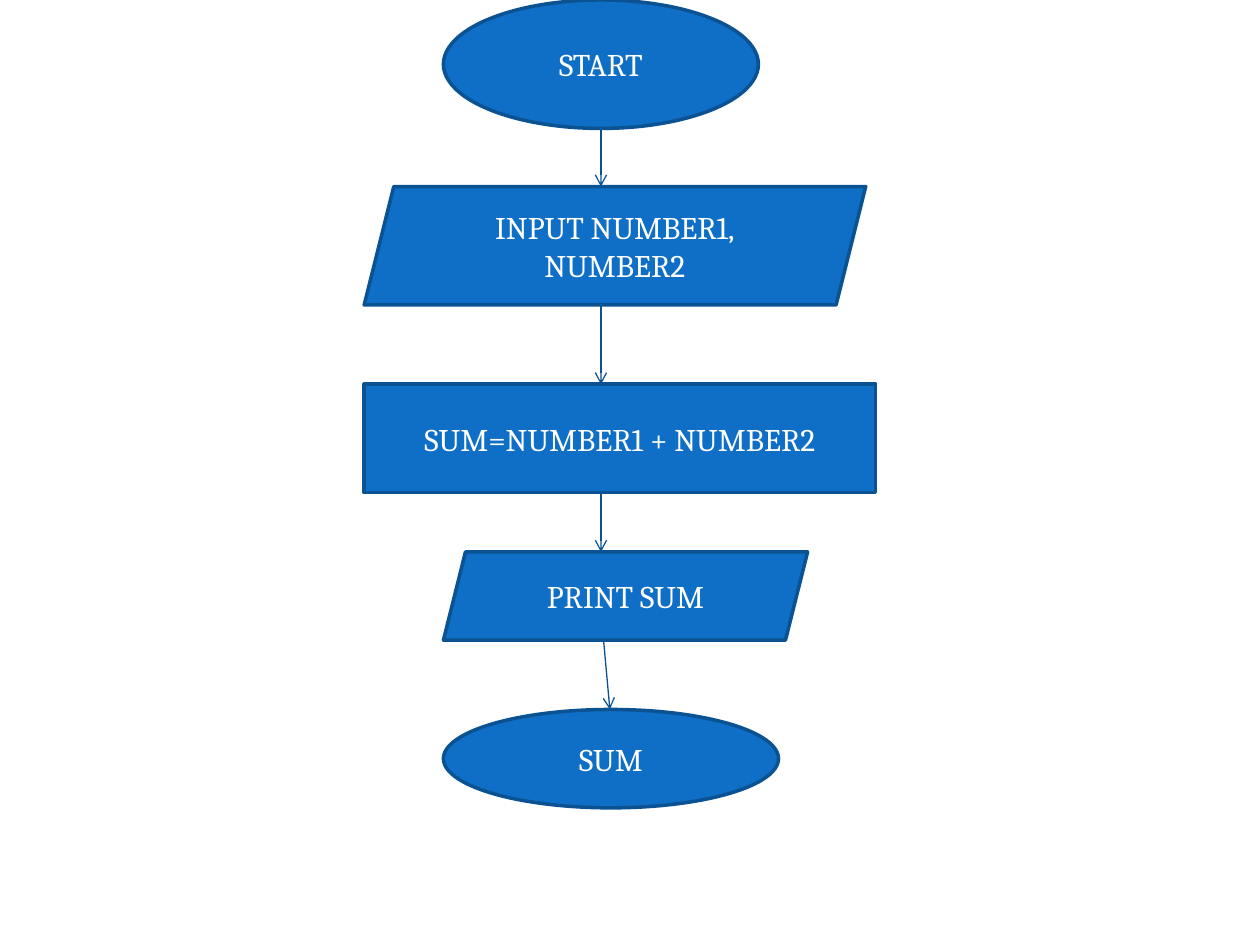
import itertools

import pptx
import pptx.dml.color
import pptx.enum.shapes
import pptx.enum.text
import pptx.oxml
import pptx.oxml.ns
import pptx.util

Pt = pptx.util.Pt
RGBColor = pptx.dml.color.RGBColor
Step = pptx.enum.shapes.MSO_SHAPE

BLUE = RGBColor(0x0F, 0x6F, 0xC6)
OUTLINE = RGBColor(0x0B, 0x52, 0x92)
ARROW = RGBColor(0x09, 0x52, 0x95)
WHITE = RGBColor(0xFF, 0xFF, 0xFF)

LABEL_FORMAT = {"name": "Cambria", "size": Pt(18)}
FRAME_FORMAT = {
    "word_wrap": True,
    "vertical_anchor": pptx.enum.text.MSO_ANCHOR.MIDDLE,
}

STEPS = [
    (Step.OVAL, "START", (45.3, 0, 180, 73.4)),
    (Step.PARALLELOGRAM, "INPUT NUMBER1,\nNUMBER2", (0, 106.6, 286.6, 67.7)),
    (Step.RECTANGLE, "SUM=NUMBER1 + NUMBER2", (0, 219.6, 292.3, 61.9)),
    (Step.PARALLELOGRAM, "PRINT SUM", (45.3, 315.4, 208.1, 50.4)),
    (Step.OVAL, "SUM", (45.3, 405.4, 191.5, 56.2)),
]
FLOW_XS = [(135.3, 135.3), (135.3, 135.3), (135.3, 135.3), (136.8, 140.4)]


def apply_format(target, values):
    """Set each named attribute on the target."""
    for attribute, value in values.items():
        setattr(target, attribute, value)


def add_step(slide, outline, label, left, top, width, height):
    """Place one labelled flowchart step."""
    step = slide.shapes.add_shape(outline, Pt(left), Pt(top), Pt(width), Pt(height))
    step.shadow.inherit = False
    step.fill.solid()
    step.fill.fore_color.rgb = BLUE
    step.line.color.rgb = OUTLINE
    step.line.width = Pt(2)
    apply_format(step.text_frame, FRAME_FORMAT)
    step.text_frame.text = label
    for paragraph in step.text_frame.paragraphs:
        paragraph.alignment = pptx.enum.text.PP_ALIGN.CENTER
        for run in paragraph.runs:
            apply_format(run.font, LABEL_FORMAT)
            run.font.color.rgb = WHITE


def add_flow(slide, start_x, start_y, end_x, end_y):
    """Draw an arrow from one step to the next."""
    flow = slide.shapes.add_connector(
        pptx.enum.shapes.MSO_CONNECTOR.STRAIGHT,
        Pt(start_x), Pt(start_y), Pt(end_x), Pt(end_y),
    )
    flow.line.color.rgb = ARROW
    flow.line.width = Pt(0.75)
    arrowhead = pptx.oxml.parse_xml(
        f'<a:tailEnd {pptx.oxml.ns.nsdecls("a")} type="arrow"/>'
    )
    flow.line._get_or_add_ln().append(arrowhead)
    properties = flow._element.spPr
    properties.append(
        pptx.oxml.parse_xml(f'<a:effectLst {pptx.oxml.ns.nsdecls("a")}/>')
    )


def add_flowchart(slide, left, top):
    """Place the steps and their arrows from the chart's top left corner."""
    for outline, label, (x, y, width, height) in STEPS:
        add_step(slide, outline, label, left + x, top + y, width, height)
    boxes = [box for _, _, box in STEPS]
    for (upper, lower), (start_x, end_x) in zip(itertools.pairwise(boxes), FLOW_XS):
        add_flow(
            slide,
            left + start_x, top + upper[1] + upper[3],
            left + end_x, top + lower[1],
        )


def main():
    """Build and save the flowchart slide."""
    presentation = pptx.Presentation()
    apply_format(presentation, {"slide_width": Pt(720), "slide_height": Pt(540)})
    slide = presentation.slides.add_slide(presentation.slide_layouts[6])
    add_flowchart(slide, 208.1, 0)
    presentation.save("out.pptx")


main()
